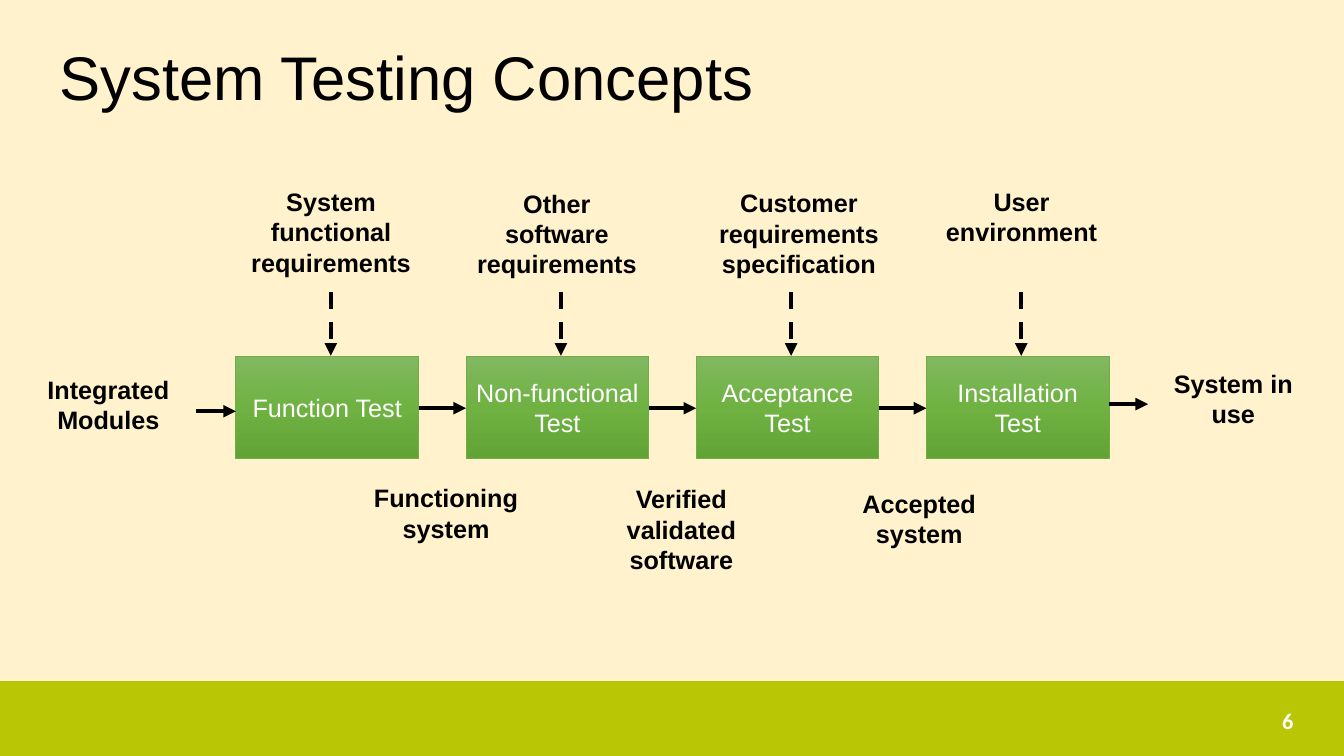
from copy import deepcopy
from dataclasses import dataclass

from pptx import Presentation
from pptx.dml.color import RGBColor
from pptx.enum.dml import MSO_LINE
from pptx.enum.shapes import MSO_CONNECTOR, MSO_SHAPE
from pptx.enum.text import MSO_ANCHOR, MSO_AUTO_SIZE, PP_ALIGN
from pptx.oxml.ns import qn
from pptx.oxml.xmlchemy import OxmlElement
from pptx.slide import Slide
from pptx.text.text import TextFrame
from pptx.util import Pt

RECTANGLE = MSO_SHAPE.RECTANGLE
STRAIGHT = MSO_CONNECTOR.STRAIGHT
DASH = MSO_LINE.DASH
TOP, MIDDLE = MSO_ANCHOR.TOP, MSO_ANCHOR.MIDDLE
LEFT, CENTER, RIGHT = PP_ALIGN.LEFT, PP_ALIGN.CENTER, PP_ALIGN.RIGHT

CREAM = RGBColor(0xFF, 0xF2, 0xCC)
LIME = RGBColor(0xB8, 0xC6, 0x05)
BLACK = RGBColor(0x00, 0x00, 0x00)
WHITE = RGBColor(0xFF, 0xFF, 0xFF)
STAGE_EDGE = RGBColor(0x70, 0xAD, 0x47)
STAGE_SHADES = (
    RGBColor(0x81, 0xB8, 0x61),
    RGBColor(0x6F, 0xB2, 0x42),
    RGBColor(0x62, 0xA3, 0x36),
)

# Stage grid, in points
STAGE_LEFT, STAGE_TOP = 168.5, 254.2
STAGE_WIDTH, STAGE_HEIGHT = 130.5, 73.5
STAGE_PITCH = 164.4
FLOW_Y = 291.6


@dataclass(frozen=True)
class Label:
    text: str
    left: float
    top: float
    width: float
    height: float


@dataclass(frozen=True)
class Arrow:
    x1: float
    y1: float
    x2: float
    y2: float
    dashed: bool = False


STAGES = ("Function Test", "Non-functional Test", "Acceptance Test", "Installation Test")

LABELS = (
    # Inputs above the stages
    Label("System functional requirements", 165.6, 129.6, 141.8, 72),
    Label("Other\nsoftware requirements", 326.9, 131, 141.8, 72),
    Label("Customer requirements\nspecification", 502.6, 130.5, 136.1, 72),
    Label("User\nenvironment", 667.4, 129.6, 124.6, 50.4),
    # Results below the stages
    Label("Functioning system", 259.2, 341.3, 118.8, 50.4),
    Label("Verified\nvalidated\nsoftware", 429.1, 342, 115.2, 93.6),
    Label("Accepted system", 599, 345.2, 115.2, 50.4),
    # Start and end of the flow
    Label("Integrated\nModules", 18, 263.5, 118.8, 51),
    Label("System in\nuse", 821.5, 259.2, 118.8, 51),
)


def format_text(
    frame: TextFrame,
    size: float,
    color: RGBColor,
    bold: bool = False,
    align: PP_ALIGN = CENTER,
    anchor: MSO_ANCHOR = TOP,
    font: str = "Arial",
) -> None:
    frame.word_wrap = True
    frame.auto_size = MSO_AUTO_SIZE.NONE
    frame.vertical_anchor = anchor
    for paragraph in frame.paragraphs:
        paragraph.alignment = align
        for run in paragraph.runs:
            run.font.name = font
            run.font.size = Pt(size)
            run.font.bold = bold
            run.font.color.rgb = color


def add_label(slide: Slide, label: Label) -> TextFrame:
    box = slide.shapes.add_textbox(
        Pt(label.left), Pt(label.top), Pt(label.width), Pt(label.height)
    )
    box.text_frame.text = label.text
    return box.text_frame


def add_stage(slide: Slide, name: str, left: float) -> None:
    stage = slide.shapes.add_shape(
        RECTANGLE, Pt(left), Pt(STAGE_TOP), Pt(STAGE_WIDTH), Pt(STAGE_HEIGHT)
    )
    stage.shadow.inherit = False
    stage.line.color.rgb = STAGE_EDGE
    stage.line.width = Pt(0.5)
    stage.fill.gradient()
    stage.fill.gradient_angle = 270
    # A third stop goes midway between the two default ones
    stops = stage._element.spPr.find(".//" + qn("a:gsLst"))
    middle_stop = deepcopy(stops[0])
    middle_stop.set("pos", "50000")
    stops.insert(1, middle_stop)
    for stop, shade in zip(stage.fill.gradient_stops, STAGE_SHADES):
        stop.color.rgb = shade
    frame = stage.text_frame
    frame.text = name
    frame.margin_left = frame.margin_right = Pt(5)
    format_text(frame, 18, WHITE, anchor=MIDDLE)


def add_arrow(slide: Slide, arrow: Arrow) -> None:
    connector = slide.shapes.add_connector(
        STRAIGHT, Pt(arrow.x1), Pt(arrow.y1), Pt(arrow.x2), Pt(arrow.y2)
    )
    connector.line.color.rgb = BLACK
    connector.line.width = Pt(3)
    if arrow.dashed:
        connector.line.dash_style = DASH
    head = OxmlElement("a:tailEnd")
    head.set("type", "triangle")
    connector.line._get_or_add_ln().append(head)
    connector._element.spPr.append(OxmlElement("a:effectLst"))


def main() -> None:
    deck = Presentation()
    deck.slide_width, deck.slide_height = Pt(960), Pt(540)
    slide = deck.slides.add_slide(deck.slide_layouts[5])
    slide.background.fill.solid()
    slide.background.fill.fore_color.rgb = CREAM

    # Footer band and page number
    band = slide.shapes.add_shape(RECTANGLE, Pt(0), Pt(486.5), Pt(960), Pt(53.5))
    band.shadow.inherit = False
    band.fill.solid()
    band.fill.fore_color.rgb = LIME
    band.line.fill.background()
    page_number = add_label(slide, Label("6", 678.2, 500.4, 252.7, 28.8))
    format_text(page_number, 16, WHITE, True, RIGHT, MIDDLE, "Calibri")

    # Title
    title = slide.shapes.title
    title.left, title.top, title.width, title.height = Pt(35.3), Pt(12.2), Pt(805), Pt(90)
    title.text_frame.text = "System Testing Concepts"
    format_text(title.text_frame, 44, BLACK, align=LEFT, anchor=MIDDLE)
    title.text_frame.paragraphs[0].line_spacing = 0.9

    # Stages with their input arrows and the flow between them
    arrows = [Arrow(139.7, 293.8, STAGE_LEFT, 293.8), Arrow(792, 288.7, 820.1, 288.7)]
    for index, name in enumerate(STAGES):
        left = STAGE_LEFT + index * STAGE_PITCH
        add_stage(slide, name, left)
        input_x = left + 67.8
        arrows.append(Arrow(input_x, 208.8, input_x, STAGE_TOP, dashed=True))
        if index < len(STAGES) - 1:
            arrows.append(Arrow(left + STAGE_WIDTH, FLOW_Y, left + STAGE_PITCH, FLOW_Y))
    for arrow in arrows:
        add_arrow(slide, arrow)

    # Labels
    for label in LABELS:
        format_text(add_label(slide, label), 18, BLACK, bold=True)

    deck.save("out.pptx")


if __name__ == "__main__":
    main()
